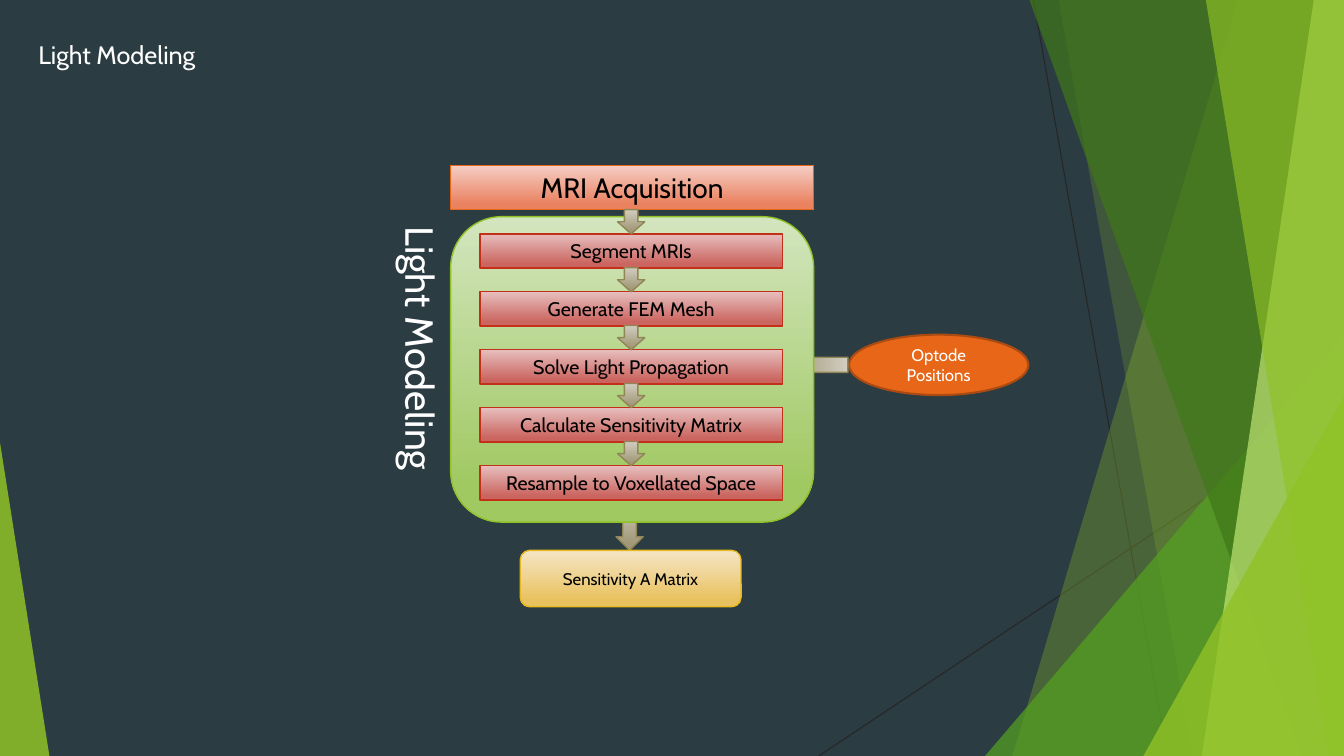
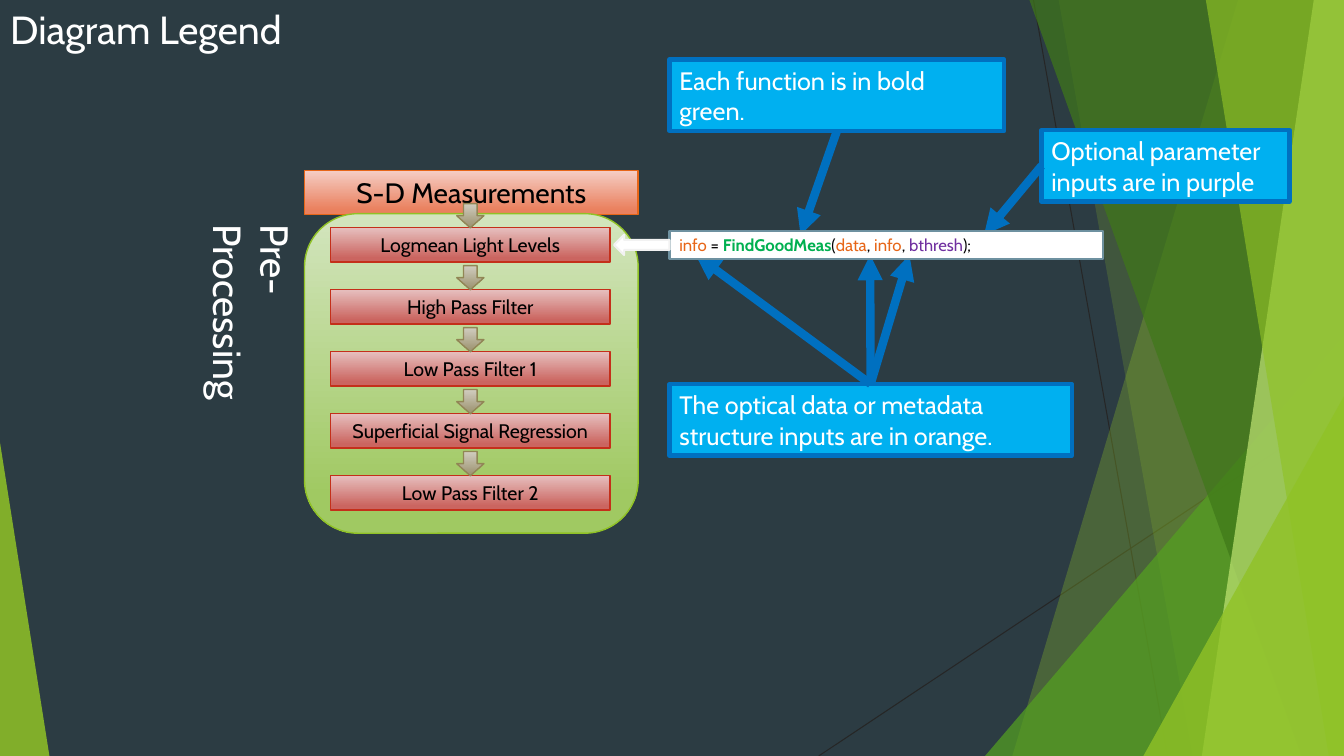
from lxml.etree import SubElement
from pptx import Presentation
from pptx.dml.color import RGBColor
from pptx.enum.shapes import MSO_CONNECTOR, MSO_SHAPE as SHAPE
from pptx.enum.text import MSO_ANCHOR as ANCHOR, MSO_AUTO_SIZE as AUTO, PP_ALIGN as ALIGN
from pptx.oxml.ns import qn
from pptx.util import Inches, Pt

# Shared look
WIDTH, HEIGHT = 13.33, 7.5
FONT = "Cabin"
SLATE = RGBColor(0x2C, 0x3C, 0x43)
WHITE = RGBColor(0xFF, 0xFF, 0xFF)
BLACK = RGBColor(0, 0, 0)
CHARCOAL = RGBColor(0x26, 0x26, 0x26)
LIME = RGBColor(0x90, 0xC2, 0x26)
LEAF = RGBColor(0x54, 0xA0, 0x21)
FOREST = RGBColor(0x3F, 0x78, 0x19)
PALE_LIME = RGBColor(0xC0, 0xE4, 0x74)
ORANGE = RGBColor(0xE7, 0x66, 0x18)
RUST = RGBColor(0xAB, 0x4B, 0x12)
SKY = RGBColor(0x00, 0xB0, 0xF0)
BLUE = RGBColor(0x00, 0x70, 0xC0)
GREEN = RGBColor(0x00, 0xB0, 0x50)
PURPLE = RGBColor(0x70, 0x30, 0xA0)
STEEL = RGBColor(0x6E, 0x91, 0xA0)
MIST = RGBColor(0xF2, 0xF2, 0xF2)

# Gradient styles: top colour, bottom colour, outline
INPUT = (RGBColor(0xF5, 0xCE, 0xC5), RGBColor(0xEA, 0x81, 0x5F), ORANGE)
STAGE = (RGBColor(0xD3, 0xE5, 0xBE), RGBColor(0xA0, 0xC9, 0x62), LIME)
STEP = (RGBColor(0xE6, 0xBF, 0xBE), RGBColor(0xCB, 0x65, 0x60), RGBColor(0xC4, 0x2F, 0x1A))
FLOW = (RGBColor(0xD1, 0xCD, 0xC0), RGBColor(0xA1, 0x98, 0x77), RGBColor(0x91, 0x86, 0x55))
RESULT = (RGBColor(0xF5, 0xE5, 0xC5), RGBColor(0xE9, 0xC2, 0x60), RGBColor(0xE6, 0xB9, 0x1E))

# Backdrop, back to front
RAYS = [((10.25, 0), (11.58, HEIGHT)), ((WIDTH, 4.03), (8.12, HEIGHT))]
FACETS = [  # bands: top x, bottom x; triangles: left, top, width, apex share
    ((12.28, 10.04), LIME, 30),
    ((10.5, 11.83), LIME, 20),
    ((9.77, 3.33, 3.56, 1), LEAF, 72),
    ((10.21, 12.91), FOREST, 70),
    ((13.03, 11.92), PALE_LIME, 70),
    ((11.96, 13.18), LIME, 65),
    ((11.34, 3.93, 1.99, 1), LIME, 80),
    ((0, 4.39, 0.49, 0), LIME, 85),
]

# Slide content
MODELING = {
    "input": ("MRI Acquisition", (4.47, 1.64, 3.6, 0.44)),
    "stage": ("Light Modeling", (3.79, 2.15, 0.67, 2.74), (4.47, 2.15, 3.6, 3.03)),
    "steps": ["Segment MRIs", "Generate FEM Mesh", "Solve Light Propagation",
              "Calculate Sensitivity Matrix", "Resample to Voxellated Space"],
    "first": (4.76, 2.32), "step_width": 3.0, "pitch": 0.575,
}
PREPROCESSING = {
    "input": ("S-D Measurements", (3.02, 1.69, 3.31, 0.44)),
    "stage": ("Pre-Processing", (2.35, 2.13, 0.67, 2.63), (3.02, 2.12, 3.31, 3.17)),
    "steps": ["Logmean Light Levels", "High Pass Filter", "Low Pass Filter 1",
              "Superficial Signal Regression", "Low Pass Filter 2"],
    "first": (3.28, 2.26), "step_width": 2.77, "pitch": 0.615,
}
STEP_HEIGHT, FLOW_WIDTH, FLOW_HEIGHT = 0.34, 0.27, 0.24
CALLOUTS = [  # text, place, side the arrows leave from, arrow tips
    ("Each function is in bold green.", (6.64, 0.59, 3.32, 0.71), 2, [(7.94, 2.33)]),
    ("The optical data or metadata structure inputs are in orange.",
     (6.64, 3.81, 3.99, 0.71), 0, [(6.9, 2.53), (9.02, 2.53), (8.63, 2.53)]),
    ("Optional parameter inputs are in purple", (10.33, 1.29, 2.46, 0.71), 1, [(9.76, 2.33)]),
]
CALL = [("info", ORANGE), (" = ", BLACK), ("FindGoodMeas", GREEN), ("(", BLACK),
        ("data", ORANGE), (", ", BLACK), ("info", ORANGE), (", ", BLACK),
        ("bthresh", PURPLE), (");", BLACK)]


def inches(values):
    return [Inches(v) for v in values]


def write(shape, text, size, color, align=ALIGN.CENTER, anchor=ANCHOR.MIDDLE):
    frame = shape.text_frame
    frame.word_wrap, frame.vertical_anchor = True, anchor
    frame.text = text
    paragraph = frame.paragraphs[0]
    paragraph.alignment = align
    font = paragraph.font
    font.name, font.size, font.color.rgb = FONT, Pt(size), color
    return frame


def outline(shape, color, width):
    shape.line.color.rgb, shape.line.width = color, Pt(width)


def add_solid(slide, kind, place, fill, line, width):
    shape = slide.shapes.add_shape(kind, *inches(place))
    shape.shadow.inherit = False
    shape.fill.solid()
    shape.fill.fore_color.rgb = fill
    outline(shape, line, width)
    return shape


def add_gradient(slide, kind, place, style):
    shape = slide.shapes.add_shape(kind, *inches(place))
    shape.shadow.inherit = False
    shape.fill.gradient()
    shape.fill.gradient_angle = 270
    for stop, color, position in zip(shape.fill.gradient_stops, style, (0, 0.88)):
        stop.color.rgb, stop.position = color, position
    outline(shape, style[2], 1)
    return shape


def add_line(slide, start, end, color, width):
    line = slide.shapes.add_connector(MSO_CONNECTOR.STRAIGHT, *inches(start + end))
    outline(line, color, width)
    SubElement(line.element.spPr, qn("a:effectLst"))
    return line


def add_facet(slide, outline_points, color, opacity):
    if len(outline_points) == 2:
        top, bottom = outline_points
        corners = [inches(p) for p in ((top, 0), (WIDTH, 0), (WIDTH, HEIGHT), (bottom, HEIGHT))]
        builder = slide.shapes.build_freeform(*corners[0], scale=1.0)
        builder.add_line_segments(corners[1:], close=True)
        facet = builder.convert_to_shape()
    else:
        left, top, width, apex = outline_points
        facet = slide.shapes.add_shape(SHAPE.ISOSCELES_TRIANGLE,
                                       *inches((left, top, width, HEIGHT - top)))
        facet.adjustments[0] = apex
    facet.shadow.inherit = False
    facet.fill.solid()
    facet.fill.fore_color.rgb = color
    facet.line.fill.background()
    tint = facet.element.spPr.find(".//" + qn("a:srgbClr"))
    SubElement(tint, qn("a:alpha"), val=str(opacity * 1000))
    return facet


def add_backdrop(prs, layout, slide):
    """Draw the backdrop once and hand it to the layout."""
    fill = prs.slide_master.background.fill
    fill.solid()
    fill.fore_color.rgb = SLATE
    parts = [add_line(slide, *ray, CHARCOAL, 0.75) for ray in RAYS]
    parts += [add_facet(slide, *facet) for facet in FACETS]
    for part in parts:
        layout.shapes.element.append(part.element)


def set_title(slide, text, place, size):
    title = slide.shapes.title
    title.left, title.top, title.width, title.height = inches(place)
    frame = write(title, text, size, WHITE, ALIGN.LEFT, ANCHOR.TOP)
    frame.word_wrap, frame.auto_size = False, AUTO.NONE


def add_pipeline(slide, pipeline):
    text, place = pipeline["input"]
    write(add_gradient(slide, SHAPE.RECTANGLE, place, INPUT), text, 20, BLACK)

    # Stage panel with its vertical label
    text, label_place, panel_place = pipeline["stage"]
    add_gradient(slide, SHAPE.ROUNDED_RECTANGLE, panel_place, STAGE)
    label = slide.shapes.add_textbox(*inches(label_place))
    frame = write(label, text, 28, WHITE, ALIGN.LEFT, ANCHOR.TOP)
    frame.auto_size = AUTO.SHAPE_TO_FIT_TEXT
    label.element.txBody.bodyPr.set("vert", "vert")

    # Steps, each under its arrow
    left, first_top = pipeline["first"]
    width = pipeline["step_width"]
    for row, step in enumerate(pipeline["steps"]):
        top = first_top + row * pipeline["pitch"]
        box = add_gradient(slide, SHAPE.RECTANGLE, (left, top, width, STEP_HEIGHT), STEP)
        write(box, step, 14, BLACK)
        add_gradient(slide, SHAPE.DOWN_ARROW,
                     (left + (width - FLOW_WIDTH) / 2, top - FLOW_HEIGHT,
                      FLOW_WIDTH, FLOW_HEIGHT), FLOW)


def build_modeling(slide):
    set_title(slide, "Light Modeling", (0.28, 0.34, 1.84, 0.4), 18)
    optodes = add_solid(slide, SHAPE.OVAL, (8.42, 3.32, 1.78, 0.6), ORANGE, RUST, 1.5)
    write(optodes, "Optode Positions", 12, WHITE)
    add_gradient(slide, SHAPE.DOWN_ARROW, (6.11, 4.96, FLOW_WIDTH, 0.5), FLOW)
    add_gradient(slide, SHAPE.DOWN_ARROW, (7.93, 3.29, 0.3, 0.66), FLOW).rotation = 90
    matrix = add_gradient(slide, SHAPE.ROUNDED_RECTANGLE, (5.16, 5.46, 2.19, 0.56), RESULT)
    write(matrix, "Sensitivity A Matrix", 12, BLACK)
    add_pipeline(slide, MODELING)


def build_legend(slide):
    set_title(slide, "Diagram Legend", (0, 0, 3.02, 0.57), 28)

    # Callouts and their arrows
    for text, place, side, tips in CALLOUTS:
        callout = add_solid(slide, SHAPE.RECTANGLE, place, SKY, BLUE, 3)
        write(callout, text, 18, WHITE, ALIGN.LEFT)
        for tip in tips:
            arrow = add_line(slide, place[:2], tip, BLUE, 6)
            arrow.begin_connect(callout, side)
            SubElement(arrow.element.spPr.find(qn("a:ln")), qn("a:tailEnd"), type="triangle")

    add_pipeline(slide, PREPROCESSING)

    # Function call
    call = add_solid(slide, SHAPE.RECTANGLE, (6.64, 2.29, 4.3, 0.28), WHITE, STEEL, 1.5)
    paragraph = write(call, "", 12, BLACK, ALIGN.LEFT).paragraphs[0]
    for text, color in CALL:
        run = paragraph.add_run()
        run.text = text
        run.font.color.rgb = color
        run.font.bold = color == GREEN
    add_solid(slide, SHAPE.LEFT_ARROW, (6.09, 2.33, 0.55, 0.2), WHITE, MIST, 1.5)


def main():
    prs = Presentation()
    prs.slide_width, prs.slide_height = inches((WIDTH, HEIGHT))
    layout = prs.slide_layouts[5]
    modeling, legend = [prs.slides.add_slide(layout) for _ in range(2)]
    add_backdrop(prs, layout, modeling)
    build_modeling(modeling)
    build_legend(legend)
    prs.save("out.pptx")


if __name__ == "__main__":
    main()
